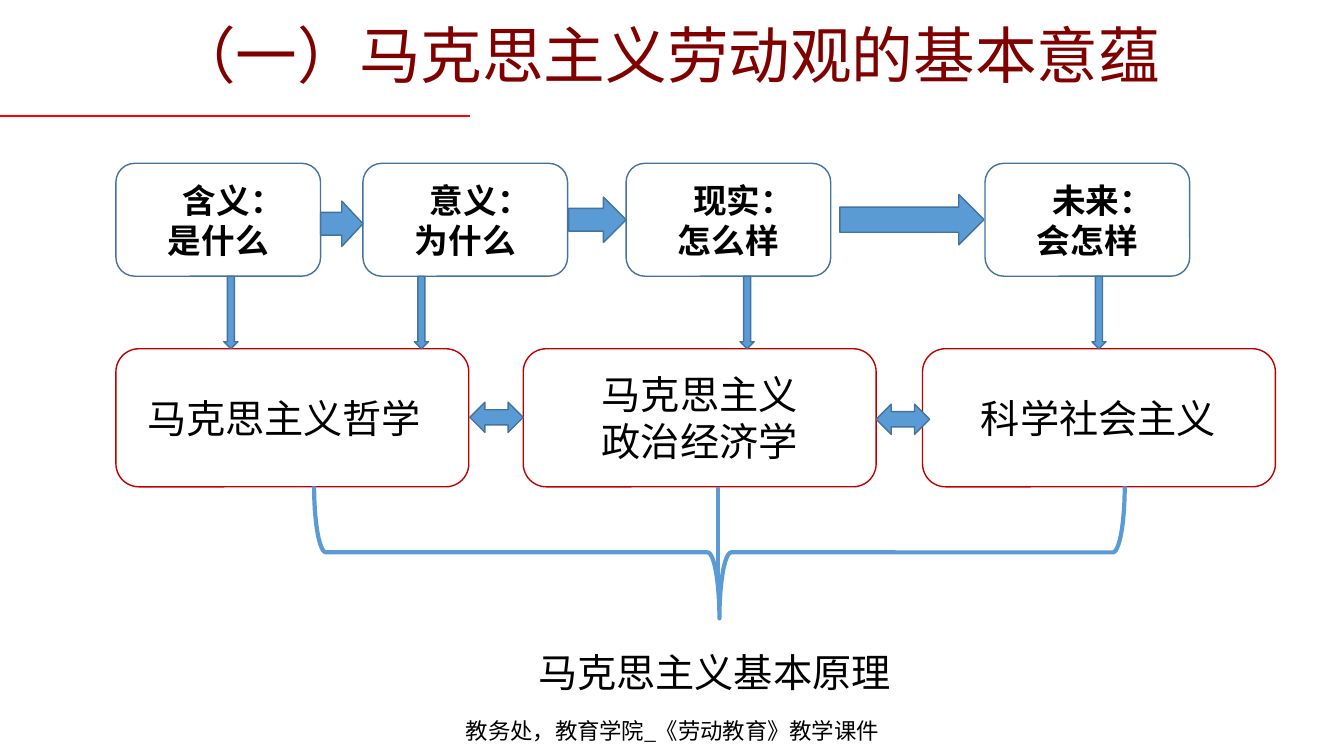
from lxml import etree
from pptx import Presentation
from pptx.dml.color import RGBColor
from pptx.enum.shapes import MSO_CONNECTOR, MSO_SHAPE
from pptx.enum.text import MSO_ANCHOR, PP_ALIGN
from pptx.oxml.ns import qn
from pptx.util import Inches, Pt

ROUND = MSO_SHAPE.ROUNDED_RECTANGLE
RIGHT, DOWN = MSO_SHAPE.RIGHT_ARROW, MSO_SHAPE.DOWN_ARROW
BOTH, BRACE = MSO_SHAPE.LEFT_RIGHT_ARROW, MSO_SHAPE.RIGHT_BRACE
LEFT, MID = PP_ALIGN.LEFT, PP_ALIGN.CENTER
TOP, CENTER = MSO_ANCHOR.TOP, MSO_ANCHOR.MIDDLE
SANS = "Noto Sans CJK SC"
BLUE, EDGE, RED = "5B9BD5", "43739E", "C00000"

# Content
TITLE = "（一）马克思主义劳动观的基本意蕴"
FOOTER = "教务处，教育学院_《劳动教育》教学课件"
BASE = "马克思主义基本原理"
# Questions: left edge, lines
ASKS = [
    (1.15, ["含义：", "是什么"]),
    (3.6, ["意义：", "为什么"]),
    (6.21, ["现实：", "怎么样"]),
    (9.77, ["未来：", "会怎样"]),
]
# Fields: left edge, text left, alignment, lines
FIELDS = [
    (1.15, 1.36, LEFT, ["马克思主义哲学"]),
    (5.19, 5.43, MID, ["马克思主义", "政治经济学"]),
    (9.15, 9.63, LEFT, ["科学社会主义"]),
]
# Arrows between questions: left, width, height, middle
STEPS = [(3.18, 0.42, 0.45, 2.22), (5.64, 0.57, 0.45, 2.18), (8.33, 1.43, 0.5, 2.18)]
DROPS = [2.22, 4.11, 7.34, 10.83]
LINKS = [(4.66, 3.99), (8.69, 4.01)]

# Grid
WIDE, HIGH = 13.33, 7.5
ASK_Y, ASK_W, ASK_H = 1.62, 2.03, 1.12
FIELD_Y, FIELD_W, FIELD_H = 3.46, 3.5, 1.37
FIELD_END = FIELD_Y + FIELD_H
TEXT_W, LINE_H = 3.02, 0.47

deck = Presentation()
deck.slide_width, deck.slide_height = Inches(WIDE), Inches(HIGH)
slide = deck.slides.add_slide(deck.slide_layouts[6])
shapes = slide.shapes


def color(code):
    return RGBColor.from_string(code)


def write(shape, lines, size=28, font=SANS, ink="000000", bold=False,
          align=MID, anchor=TOP, space=None, inset=0):
    frame = shape.text_frame
    frame.word_wrap = True
    frame.vertical_anchor = anchor
    for i, line in enumerate(lines):
        para = frame.paragraphs[0] if i == 0 else frame.add_paragraph()
        para.alignment = align
        para.line_spacing = space
        if i == 0 and inset:
            para._p.get_or_add_pPr().set("marL", str(Inches(inset)))
        run = para.add_run()
        run.text = line
        run.font.size, run.font.bold, run.font.name = Pt(size), bold, font
        run.font.color.rgb = color(ink)
        east = etree.SubElement(run._r.get_or_add_rPr(), qn("a:ea"))
        east.set("typeface", SANS)


def label(x, y, w, h, lines, **style):
    box = shapes.add_textbox(Inches(x), Inches(y), Inches(w), Inches(h))
    write(box, lines, **style)


def draw(kind, x, y, w, h, fill=None, edge=EDGE, width=1):
    shape = shapes.add_shape(kind, Inches(x), Inches(y), Inches(w), Inches(h))
    shape.shadow.inherit = False
    if fill:
        shape.fill.solid()
        shape.fill.fore_color.rgb = color(fill)
    else:
        shape.fill.background()
    shape.line.color.rgb = color(edge)
    shape.line.width = Pt(width)
    return shape


def rule(x1, y1, x2, y2, ink, width):
    line = shapes.add_connector(MSO_CONNECTOR.STRAIGHT, Inches(x1), Inches(y1),
                                Inches(x2), Inches(y2))
    line.line.color.rgb = color(ink)
    line.line.width = Pt(width)
    etree.SubElement(line._element.spPr, qn("a:effectLst"))


# Heading and footer
rule(0, 1.15, WIDE * 0.35, 1.15, "FF0000", 2)
label(2.89, 7.06, 7.56, 0.37, [FOOTER], size=16, font="Times New Roman", anchor=CENTER)
label(1.63, 0.1, 11.42, 0.97, [TITLE], size=44, font="Calibri", ink="800000",
      align=LEFT, anchor=CENTER, space=0.9)

# Questions
for x, lines in ASKS:
    box = draw(ROUND, x, ASK_Y, ASK_W, ASK_H)
    write(box, lines, size=24, bold=True, anchor=CENTER, inset=0.3)

# Fields of study
for x, left, align, lines in FIELDS:
    draw(ROUND, x, FIELD_Y, FIELD_W, FIELD_H, edge=RED)
    h = LINE_H * len(lines) + 0.1
    label(left, FIELD_Y + (FIELD_H - h) / 2, TEXT_W, h, lines, align=align)

# Arrows
for x, w, h, mid in STEPS:
    draw(RIGHT, x, mid - h / 2, w, h, fill=BLUE)
for x in DROPS:
    draw(DOWN, x, ASK_Y + ASK_H, 0.14, FIELD_Y - ASK_Y - ASK_H, fill=BLUE)
for x, y in LINKS:
    draw(BOTH, x, y, 0.53, 0.3, fill=BLUE)

# Brace down to the shared base
brace = draw(BRACE, 6.48, 1.46, 1.31, 8.04, edge=BLUE, width=3)
brace.rotation = 90
brace.adjustments[0] = 0.09
rule(7.12, FIELD_END, 7.12, 5.82, BLUE, 3)
label(4.4, 6.38, 5.37, 0.57, [BASE])

deck.save("out.pptx")
